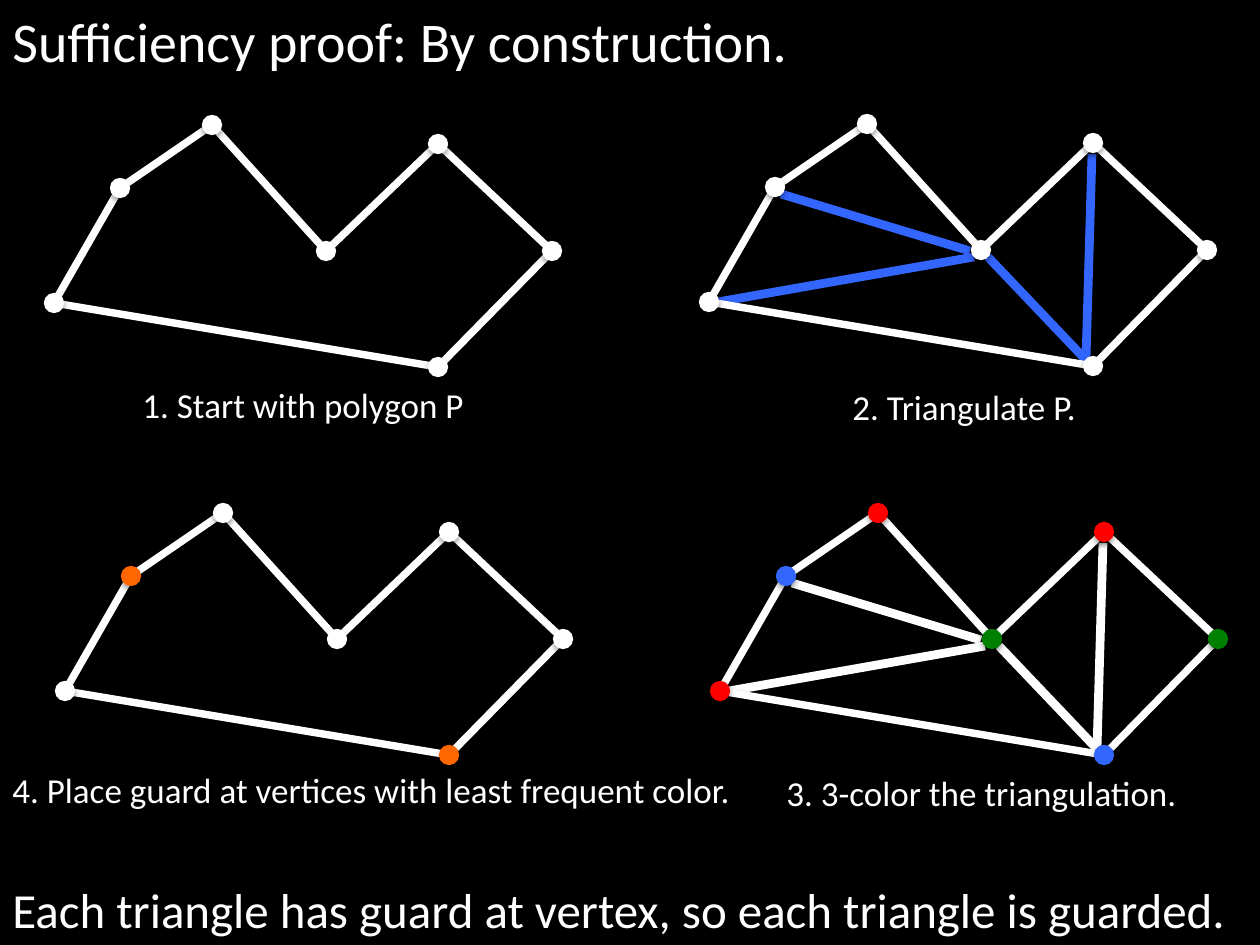
"""Build a slide that proves sufficiency for guarding a polygon in four panels."""
from lxml import etree
from pptx import Presentation
from pptx.dml.color import RGBColor
from pptx.enum.shapes import MSO_CONNECTOR, MSO_SHAPE
from pptx.enum.text import MSO_AUTO_SIZE
from pptx.oxml.ns import qn
from pptx.util import Emu, Pt

STRAIGHT = MSO_CONNECTOR.STRAIGHT
OVAL = MSO_SHAPE.OVAL
FIT_SHAPE = MSO_AUTO_SIZE.SHAPE_TO_FIT_TEXT

BLACK = RGBColor(0x00, 0x00, 0x00)
WHITE = RGBColor(0xFF, 0xFF, 0xFF)
BLUE = RGBColor(0x33, 0x66, 0xFF)
RED = RGBColor(0xFF, 0x00, 0x00)
GREEN = RGBColor(0x00, 0x80, 0x00)
ORANGE = RGBColor(0xFF, 0x66, 0x00)

PX_PER_INCH = 126
SLIDE_SIZE = (1260, 945)
DOT_SIZE = 19
HANGING_INDENT = 102
EDGE_WIDTH = 4.25
DIAGONAL_WIDTH = 5

VERTICES = [(0, 178), (66, 63), (158, 0), (272, 126), (384, 19), (498, 126), (384, 242)]
DIAGONALS = [
    ((72, 70), (261, 127)),
    ((9, 178), (265, 133)),
    ((377, 236), (383, 30)),
    ((377, 236), (279, 133)),
]
ALL_WHITE = [WHITE] * len(VERTICES)
THREE_COLORS = [RED, BLUE, RED, GREEN, RED, GREEN, BLUE]
GUARDS = [WHITE, ORANGE, WHITE, WHITE, WHITE, WHITE, ORANGE]

PANELS = [
    ((54, 125), ALL_WHITE, None, "1. Start with polygon P", (130, 377, 525, 55)),
    ((709, 124), ALL_WHITE, BLUE, "2. Triangulate P.", (840, 379, 341, 55)),
    ((720, 513), THREE_COLORS, WHITE, "3. 3-color the triangulation.", (774, 765, 596, 55)),
    ((65, 513), GUARDS, None, "4. Place guard at vertices with least frequent color.",
     (0, 762, 1173, 55)),
]


def px(length):
    return Emu(round(length * 914400 / PX_PER_INCH))


def set_attributes(target, values):
    for name, value in values.items():
        setattr(target, name, value)


class SlideBuilder:
    """Holds the text style and the slide, and draws each kind of element."""

    font_format = {"name": "Calibri"}

    def __init__(self, presentation):
        self.slide = presentation.slides.add_slide(presentation.slide_layouts[6])
        fill = self.slide.background.fill
        fill.solid()
        fill.fore_color.rgb = BLACK

    def text(self, shapes, content, box, size):
        shape = shapes.add_textbox(*map(px, box))
        frame = shape.text_frame
        set_attributes(frame, {"word_wrap": True, "auto_size": FIT_SHAPE})
        paragraph = frame.paragraphs[0]
        properties = paragraph._p.get_or_add_pPr()
        properties.set("marL", str(px(HANGING_INDENT)))
        properties.set("indent", str(-px(HANGING_INDENT)))
        run = paragraph.add_run()
        run.text = content
        set_attributes(run.font, {**self.font_format, "size": Pt(size)})
        run.font.color.rgb = WHITE

    def shadow(self, shape, distance, opacity):
        effects = etree.SubElement(shape._element.spPr, qn("a:effectLst"))
        shadow = etree.SubElement(
            effects, qn("a:outerShdw"), blurRad=str(Pt(3.1)), dist=str(Pt(distance)),
            dir="5400000", rotWithShape="0")
        color = etree.SubElement(shadow, qn("a:srgbClr"), val=str(BLACK))
        etree.SubElement(color, qn("a:alpha"), val=str(opacity * 1000))

    def line(self, shapes, start, end, color, width):
        connector = shapes.add_connector(STRAIGHT, *map(px, (*start, *end)))
        connector.line.color.rgb = color
        connector.line.width = Pt(width)
        self.shadow(connector, 1.6, 38)

    def dot(self, shapes, center, color):
        left, top = (value - DOT_SIZE / 2 for value in center)
        shape = shapes.add_shape(OVAL, *map(px, (left, top, DOT_SIZE, DOT_SIZE)))
        shape.fill.solid()
        shape.fill.fore_color.rgb = color
        shape.line.color.rgb = color
        shape.line.width = Pt(0.75)
        self.shadow(shape, 1.8, 35)

    def panel(self, origin, dot_colors, diagonal_color, caption, caption_box):
        def place(point):
            return origin[0] + point[0], origin[1] + point[1]

        shapes = self.slide.shapes.add_group_shape().shapes
        if diagonal_color is not None:
            for start, end in DIAGONALS:
                self.line(shapes, place(start), place(end), diagonal_color, DIAGONAL_WIDTH)
        for start, end in zip(VERTICES, VERTICES[1:] + VERTICES[:1]):
            self.line(shapes, place(start), place(end), WHITE, EDGE_WIDTH)
        for vertex, color in zip(VERTICES, dot_colors):
            self.dot(shapes, place(vertex), color)
        self.text(shapes, caption, caption_box, 20)


def main():
    presentation = Presentation()
    width, height = map(px, SLIDE_SIZE)
    set_attributes(presentation, {"slide_width": width, "slide_height": height})
    builder = SlideBuilder(presentation)
    shapes = builder.slide.shapes
    builder.text(shapes, "Sufficiency proof: By construction.", (0, 0, 1173, 81), 32)
    for panel in PANELS:
        builder.panel(*panel)
    builder.text(shapes, "Each triangle has guard at vertex, so each triangle is guarded.",
                 (0, 873, 1260, 72), 28)
    presentation.save("out.pptx")


if __name__ == "__main__":
    main()
